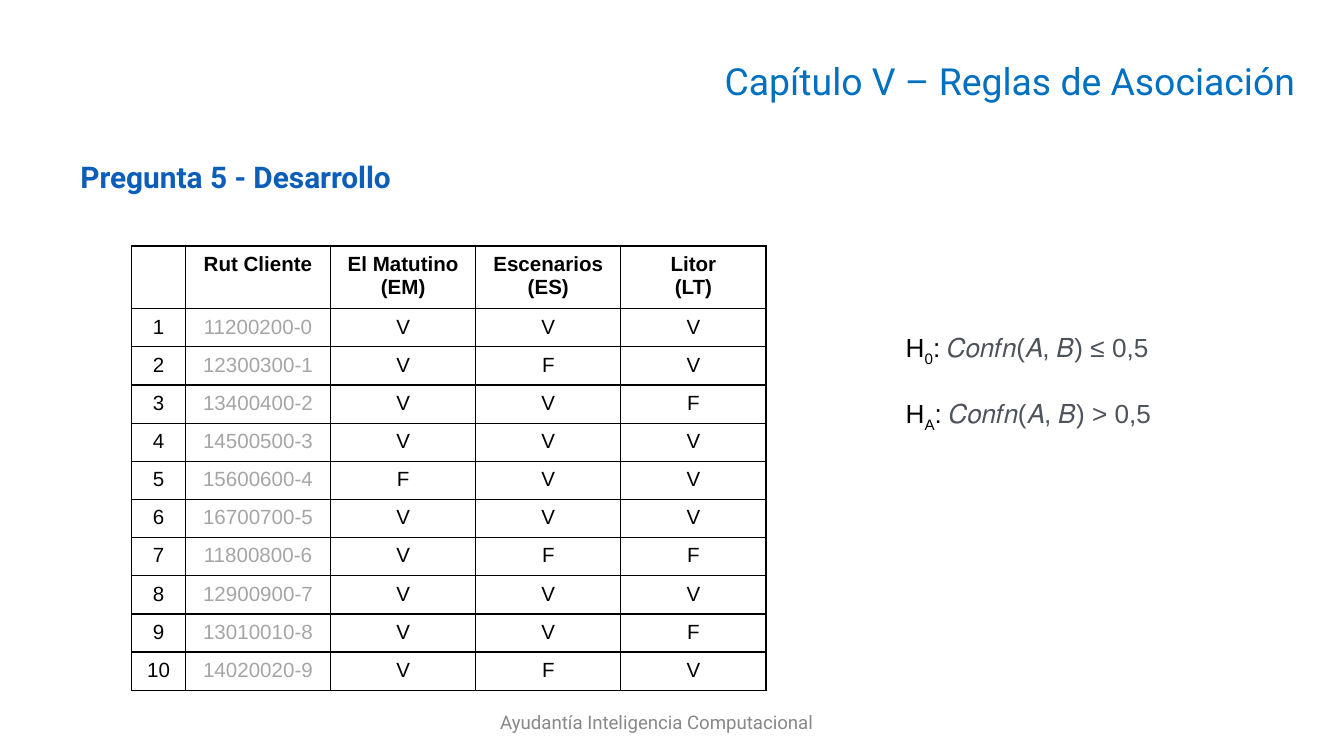
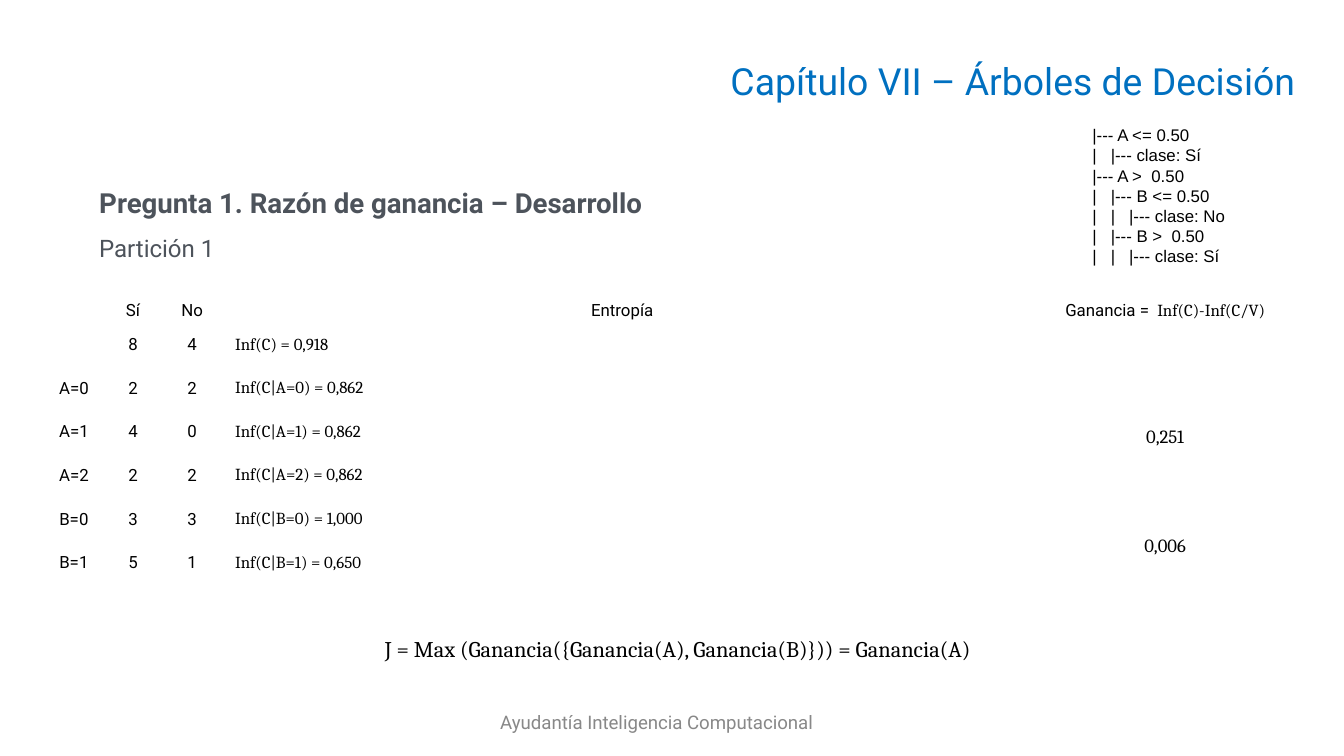
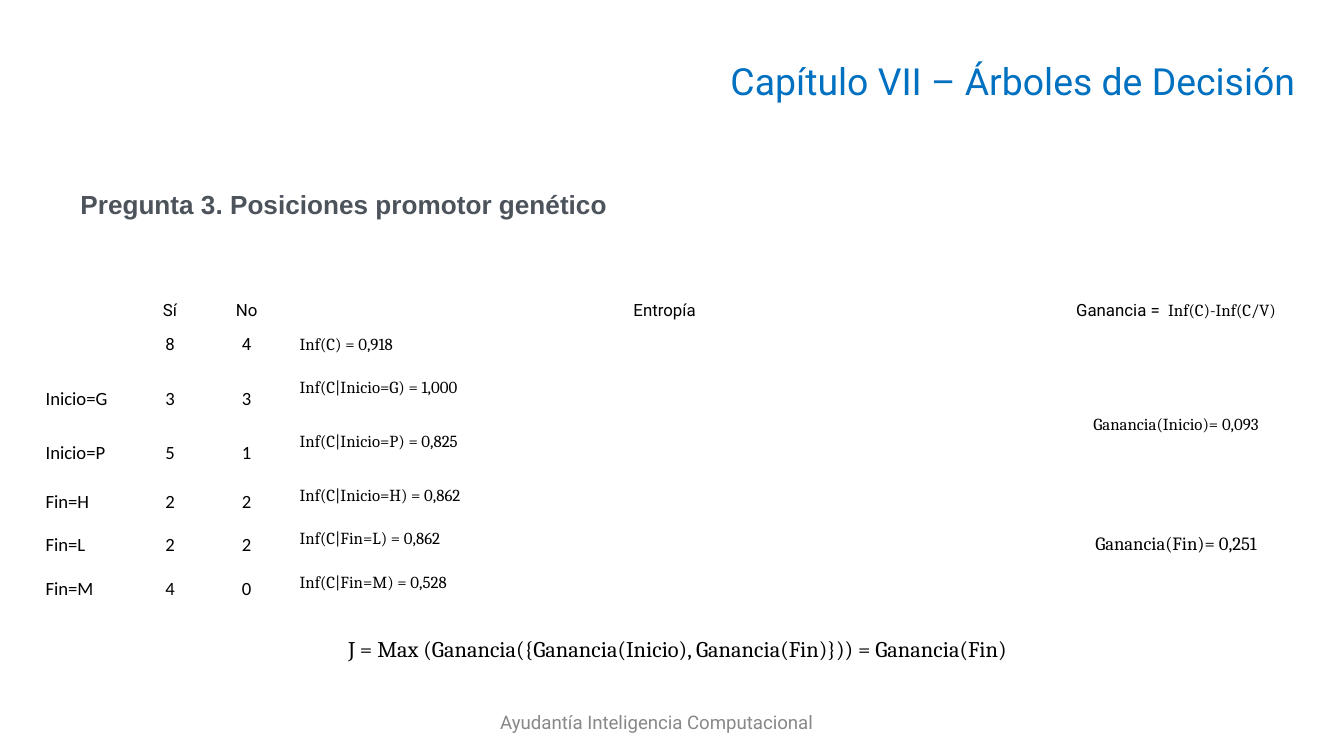
"""Build three slides on association rules and decision trees."""
from lxml import etree
from pptx import Presentation, util as u
from pptx.dml.color import RGBColor
from pptx.enum import text as t
from pptx.oxml import ns

BLACK = RGBColor(0x00, 0x00, 0x00)
TITLE_BLUE = RGBColor(0x00, 0x70, 0xC0)
HEADING_BLUE = RGBColor(0x0C, 0x5E, 0xB8)
SLATE = RGBColor(0x4D, 0x53, 0x5B)
FOOTER_GRAY = RGBColor(0x88, 0x88, 0x88)
ID_GRAY = RGBColor(0xA5, 0xA5, 0xA5)

COLUMNS, ROWS = 100, 56.25
LEFT, CENTER, RIGHT, JUSTIFY = (t.PP_ALIGN.LEFT, t.PP_ALIGN.CENTER,
                                t.PP_ALIGN.RIGHT, t.PP_ALIGN.JUSTIFY)
TOP, MIDDLE = t.MSO_ANCHOR.TOP, t.MSO_ANCHOR.MIDDLE
INSETS = (1, 0.5, 1, 0.5)
TIGHT = (0.1, 0.1, 0.1, 0)


def write(para, text, size=9, font="Roboto", color=BLACK, bold=False, baseline=0):
    """Add one formatted span, or size the paragraph when it has no text."""
    if not text:
        etree.SubElement(para._p, ns.qn("a:endParaRPr"), sz=str(int(size * 100)))
        return
    span = para.add_run()
    span.text = text
    span.font.size, span.font.name = u.Pt(size), font
    span.font.color.rgb, span.font.bold = color, bold
    if baseline:
        span._r.get_or_add_rPr().set("baseline", str(baseline * 1000))


def compose(frame, lines, align=LEFT, spacing=None, before=0, indent=0, **style):
    """Write lines, each a string or a list of (text, changes) spans."""
    for number, line in enumerate(lines):
        para = frame.add_paragraph() if number else frame.paragraphs[0]
        para.alignment = align
        if spacing:
            para.line_spacing = spacing
        if before and number:
            para.space_before = u.Pt(before)
        if indent:
            properties = para._p.get_or_add_pPr()
            properties.set("marL", str(indent))
            properties.set("indent", "0")
        spans = [(line, {})] if isinstance(line, str) else line
        for text, changes in spans:
            write(para, text, **{**style, **changes})


class Deck:
    """Hold the shared style and the current page."""

    def __init__(self):
        """Open an empty deck of the right size."""
        self.deck = Presentation()
        self.deck.slide_width, self.deck.slide_height = u.Inches(10), u.Inches(5.625)
        self.page = None

    def x(self, columns):
        """Turn grid columns into a length."""
        return int(self.deck.slide_width * columns / COLUMNS)

    def y(self, rows):
        """Turn grid rows into a length."""
        return int(self.deck.slide_height * rows / ROWS)

    def start(self, title):
        """Add a page with its title and footer."""
        self.page = self.deck.slides.add_slide(self.deck.slide_layouts[6])
        self.text((20.9, 2.9, 76.5, 6.2), [title], anchor=MIDDLE, align=RIGHT,
                  size=20, color=TITLE_BLUE)
        self.text((20.5, 51.8, 56.7, 3.9), ["Ayudantía Inteligencia Computacional"],
                  anchor=MIDDLE, align=CENTER, size=10, color=FOOTER_GRAY)

    def text(self, area, lines, anchor=TOP, grow=False, indent=0, **style):
        """Add a text box."""
        left, top, width, height = area
        box = self.page.shapes.add_textbox(self.x(left), self.y(top),
                                           self.x(width), self.y(height))
        frame = box.text_frame
        frame.word_wrap, frame.vertical_anchor = True, anchor
        if grow:
            frame.auto_size = t.MSO_AUTO_SIZE.SHAPE_TO_FIT_TEXT
        compose(frame, lines, indent=self.x(indent), **style)

    def table(self, corner, widths, heights, rows, style_of, border=None):
        """Add a table whose cells take their style from row and column."""
        left, top = corner
        table = self.page.shapes.add_table(
            len(rows), len(widths), self.x(left), self.y(top),
            self.x(sum(widths)), self.y(sum(heights))).table
        table.first_row = table.horz_banding = False
        for column, width in zip(table.columns, widths):
            column.width = self.x(width)
        for row, height in zip(table.rows, heights):
            row.height = self.y(height)
        for r, row in enumerate(rows):
            for c, content in enumerate(row):
                self.cell(table.cell(r, c), content, border, **style_of(r, c))
        return table

    def cell(self, cell, content, border, anchor=TOP, insets=INSETS, **style):
        """Fill one table cell."""
        if border:
            self.outline(cell, border)
        cell.fill.background()
        cell.vertical_anchor = anchor
        left, top, right, bottom = insets
        cell.margin_left, cell.margin_right = self.x(left), self.x(right)
        cell.margin_top, cell.margin_bottom = self.y(top), self.y(bottom)
        lines = content.split("\n") if isinstance(content, str) else [content]
        compose(cell.text_frame, lines, **style)

    def outline(self, cell, width):
        """Draw black borders round a cell."""
        properties = cell._tc.get_or_add_tcPr()
        for side in ("lnL", "lnR", "lnT", "lnB"):
            line = etree.SubElement(properties, ns.qn(f"a:{side}"), w=str(u.Pt(width)))
            fill = etree.SubElement(line, ns.qn("a:solidFill"))
            etree.SubElement(fill, ns.qn("a:srgbClr"), val=str(BLACK))

    def entropy_table(self, widths, heights, counts, gains, style_of):
        """Add the entropy table and merge its gain cells."""
        header = ["", "Sí", "No", "Entropía",
                  [("Ganancia =  ", {}), ("Inf(C)-Inf(C/V)", {"font": "Cambria"})]]
        rows = [header, ["", "8", "4", "Inf(C) = 0,918", ""]]
        for r, count in enumerate(counts, 2):
            rows.append([*count, gains[r][1] if r in gains else ""])

        def style(r, c):
            """Style the header, the entropies and the gains."""
            if r == 0:
                return {"align": CENTER}
            if c == 3:
                return {"font": "Cambria"}
            if c == 4:
                size = gains[r][2] if r in gains else 9
                return {"font": "Cambria", "align": CENTER, "anchor": MIDDLE, "size": size}
            return style_of(r, c)

        table = self.table((3.3, 21.9), widths, heights, rows, style)
        for r, (span, _, _) in gains.items():
            table.cell(r, 4).merge(table.cell(r + span - 1, 4))

    def conclusion(self, left, width, text):
        """State the chosen split under the table."""
        self.text((left, 46.8, width, 3), [text], grow=True, align=CENTER,
                  size=12, font="Cambria")


def association_rules(deck):
    """Show the client table and the hypotheses."""
    deck.start("Capítulo V – Reglas de Asociación")
    deck.text((5, 10.8, 90, 37.1), ["Pregunta 5 - Desarrollo"], align=JUSTIFY,
              spacing=1.2, size=16, color=HEADING_BLUE, bold=True)
    clients = [("11200200-0", "VVV"), ("12300300-1", "VFV"), ("13400400-2", "VVF"),
               ("14500500-3", "VVV"), ("15600600-4", "FVV"), ("16700700-5", "VVV"),
               ("11800800-6", "VFF"), ("12900900-7", "VVV"), ("13010010-8", "VVF"),
               ("14020020-9", "VFV")]
    rows = [["", "Rut Cliente", "El Matutino (EM)", "Escenarios\n(ES)", "Litor\n(LT)"]]
    rows += [[str(n), client, *marks] for n, (client, marks) in enumerate(clients, 1)]

    def style(r, c):
        """Make the header bold and the client numbers gray."""
        return {"size": 11, "font": "Arial", "align": CENTER, "bold": r == 0,
                "color": ID_GRAY if r and c == 1 else BLACK}

    deck.table((9.8, 18.3), [4] + [10.8] * 4, [4.4] + [2.81] * 10, rows, style, border=0.75)
    hypotheses = [[("H", {}), (mark, {"baseline": -25}), (": ", {}),
                   (f"𝐶𝑜𝑛𝑓𝑛(𝐴, 𝐵) {sign} 0,5", {"color": SLATE})]
                  for mark, sign in (("0", "≤"), ("A", ">"))]
    deck.text((66.4, 24.2, 21.4, 8.1), hypotheses, grow=True, before=16,
              size=14, font="Arial")


def gain_ratio(deck):
    """Show the first partition of the tree."""
    deck.start("Capítulo VII – Árboles de Decisión")
    deck.text((5, 13.1, 90, 7),
              [[("Pregunta 1. Razón de ganancia – Desarrollo", {"size": 14.8, "bold": True})],
               "Partición 1"],
              align=JUSTIFY, spacing=1.1, before=6, indent=1.4, size=12.9, color=SLATE)
    counts = [(split, yes, no, f"Inf(C|{split}) = {entropy}")
              for split, yes, no, entropy in (
                  ("A=0", "2", "2", "0,862"), ("A=1", "4", "0", "0,862"),
                  ("A=2", "2", "2", "0,862"), ("B=0", "3", "3", "1,000"),
                  ("B=1", "5", "1", "0,650"))]
    deck.entropy_table([4.4, 4.4, 4.4, 59.6, 21.2], [2.1] + [3.25] * 6, counts,
                       {2: (3, "0,251", 10), 5: (2, "0,006", 10)},
                       lambda r, c: {"align": CENTER})
    deck.conclusion(26.2, 48.5, "J = Max (Ganancia({Ganancia(A), Ganancia(B)})) = Ganancia(A)")
    deck.text((80.3, 8.8, 13.4, 13.1),
              ["|--- A <= 0.50", "|   |--- clase: Sí", "|--- A >  0.50",
               "|   |--- B <= 0.50", "|   |   |--- clase: No",
               "|   |--- B >  0.50", "|   |   |--- clase: Sí"],
              grow=True, font="Arial")


def promoter_positions(deck):
    """Show the gains of the promoter positions."""
    deck.start("Capítulo VII – Árboles de Decisión")
    deck.text((5, 13.1, 90, 7), ["Pregunta 3. Posiciones promotor genético"], align=JUSTIFY,
              spacing=1.2, size=14, font="Arial", color=SLATE, bold=True)
    counts = [("Inicio=G", "3", "3", "Inf(C|Inicio=G) = 1,000"),
              ("Inicio=P", "5", "1", "Inf(C|Inicio=P) = 0,825"),
              ("Fin=H", "2", "2", "Inf(C|Inicio=H) = 0,862"),
              ("Fin=L", "2", "2", "Inf(C|Fin=L) = 0,862"),
              ("Fin=M", "4", "0", "Inf(C|Fin=M) = 0,528")]

    def style(r, c):
        """Set the split rows tight and keep the totals plain."""
        if r == 1:
            return {"align": CENTER}
        return {"size": 10, "font": "Calibri", "anchor": MIDDLE, "insets": TIGHT,
                "align": CENTER if c else LEFT}

    deck.entropy_table([6.6, 5.5, 5.9, 56.3, 19.8], [2.1, 3.25, 4, 4, 3.25, 3.25, 3.25], counts,
                       {2: (2, "Ganancia(Inicio)= 0,093", 9),
                        4: (3, "Ganancia(Fin)= 0,251", 10)}, style)
    deck.conclusion(22.8, 55.3,
                    "J = Max (Ganancia({Ganancia(Inicio), Ganancia(Fin)})) = Ganancia(Fin)")


def main():
    """Build and save the deck."""
    deck = Deck()
    for build in (association_rules, gain_ratio, promoter_positions):
        build(deck)
    deck.deck.save("out.pptx")


if __name__ == "__main__":
    main()
